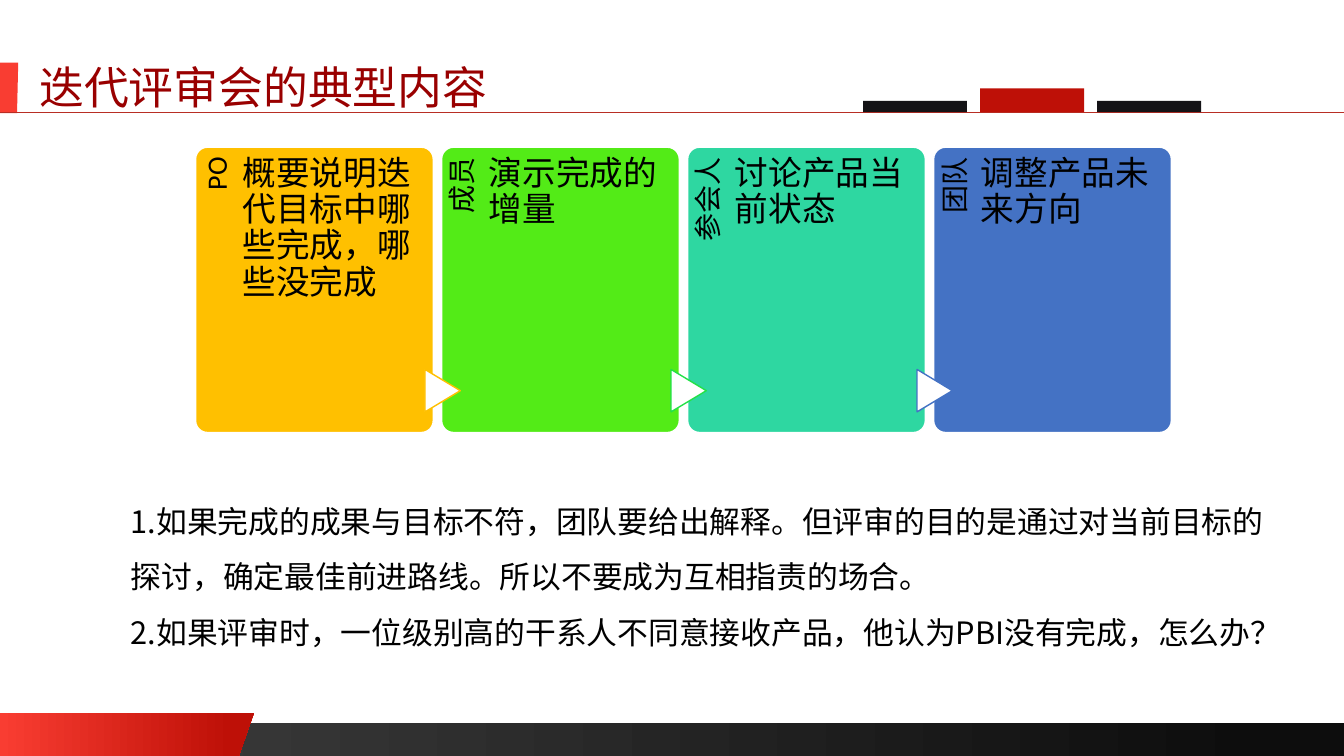
"""Build the slide on the typical content of an iteration review meeting."""
from lxml import etree
from pptx import Presentation
from pptx import util as u
from pptx.dml import color
from pptx.enum import shapes, text
from pptx.oxml import ns

CJK = "Noto Sans CJK SC"
SLIDE_W, SLIDE_H = 33.87, 19.05
CARDS = [
    ("PO", "概要说明迭代目标中哪些完成，哪些没完成", "FFC000", "FFC000"),
    ("成员", "演示完成的增量", "53EB17", "23E148"),
    ("参会人", "讨论产品当前状态", "2ED7A1", "4472C4"),
    ("团队", "调整产品未来方向", "4472C4", None),
]
NOTES = [
    "1.如果完成的成果与目标不符，团队要给出解释。但评审的目的是通过对当前目标的探讨，确定最佳前进路线。所以不要成为互相指责的场合。",
    "2.如果评审时，一位级别高的干系人不同意接收产品，他认为PBI没有完成，怎么办？",
]


def rgb(value):
    """Turn a hex string into a colour."""
    return color.RGBColor.from_string(value)


def paint(sp, fill, line=None):
    """Fill a shape with one colour, or a gradient given as (colour, position) stops."""
    sp.shadow.inherit = False
    if isinstance(fill, str):
        sp.fill.solid()
        sp.fill.fore_color.rgb = rgb(fill)
    else:
        sp.fill.gradient()
        sp.fill.gradient_angle = 0
        for stop, (value, position) in zip(sp.fill.gradient_stops, fill):
            stop.color.rgb = rgb(value)
            stop.position = position
    if line:
        sp.line.color.rgb = rgb(line)
        sp.line.width = u.Pt(1)
    else:
        sp.line.fill.background()


def add_block(s, kind, box, fill, line=None):
    """Add a preset shape in a box given in centimetres."""
    sp = s.shapes.add_shape(kind, *map(u.Cm, box))
    paint(sp, fill, line)
    return sp


def add_outline(s, points, fill):
    """Add a closed polygon through points given in centimetres."""
    points = [(u.Cm(x), u.Cm(y)) for x, y in points]
    builder = s.shapes.build_freeform(*points[0])
    builder.add_line_segments(points[1:], close=True)
    paint(builder.convert_to_shape(), fill)


def add_text(s, box, lines, size, spacing, font=CJK, value="000000", insets=(0.25, 0.13, 0.25, 0.13)):
    """Add a wrapped text box with one paragraph per line."""
    sp = s.shapes.add_textbox(*map(u.Cm, box))
    tf = sp.text_frame
    tf.word_wrap = True
    tf.margin_left, tf.margin_top, tf.margin_right, tf.margin_bottom = map(u.Cm, insets)
    tf.text = "\n".join(lines)
    for p in tf.paragraphs:
        p.line_spacing = spacing
        for r in p.runs:
            r.font.name = font
            r.font.size = u.Pt(size)
            r.font.color.rgb = rgb(value)
            ea = etree.SubElement(r.font._element, ns.qn("a:ea"))
            ea.set("typeface", CJK)
    return sp


def add_footer(s, left, top, width, height):
    """Draw the dark footer band with its red tab."""
    add_block(s, shapes.MSO_SHAPE.RECTANGLE, (left, top + 0.25, width, height - 0.25),
              [("404040", 0), ("0D0D0D", 0.94)])
    bottom = top + height
    add_outline(s, [(left, top), (left + 6.4, top), (left + 6.02, bottom), (left, bottom)],
                [("F93D32", 0), ("BE1007", 0.91)])


def add_header(s, left, top, width, height):
    """Draw the title, its red marker, the rule and the three tabs on it."""
    base = top + height
    add_outline(s, [(left, base - 1.25), (left + 0.46, base - 1.25), (left + 0.43, base + 0.02),
                    (left, base + 0.02)], "F93D32")
    title = add_text(s, (left + 0.74, top, 15.82, 1.8), ["迭代评审会的典型内容"], 32, 1.1, value="990000")
    title.text_frame.vertical_anchor = text.MSO_ANCHOR.MIDDLE
    rule = s.shapes.add_connector(shapes.MSO_CONNECTOR.STRAIGHT, u.Cm(left), u.Cm(base),
                                  u.Cm(left + width), u.Cm(base))
    rule.line.color.rgb = rgb("B82E24")
    rule.line.width = u.Pt(0.5)
    etree.SubElement(rule._element.spPr, ns.qn("a:effectLst"))
    for i, (tall, fill) in enumerate([(0.29, "141316"), (0.6, "BE1007"), (0.29, "141316")]):
        add_block(s, shapes.MSO_SHAPE.RECTANGLE,
                  (left + 21.75 + i * 2.95, base - tall, 2.62, tall), fill)


def add_card(s, left, top, width, height, card, arrow_line):
    """Draw one card with its role, its text and the arrow that leads into it."""
    role, content, fill, _ = card
    sp = add_block(s, shapes.MSO_SHAPE.ROUNDED_RECTANGLE, (left, top, width, height), fill, "FFFFFF")
    sp.adjustments[0] = 0.05
    long, thick = 5.89, 1.19
    label = add_text(s, (left + (thick - long) / 2, top + (long - thick) / 2, long, thick),
                     [role], 20, 0.9, "Calibri", insets=(0, 0.18, 0.25, 0))
    label.rotation = 270
    label.text_frame.paragraphs[0].alignment = text.PP_ALIGN.RIGHT
    if arrow_line:
        arrow = add_block(s, shapes.MSO_SHAPE.FLOWCHART_EXTRACT,
                          (left - 0.51, top + 5.69, 1.07, 0.89), "FFFFFF", arrow_line)
        arrow.rotation = 90
    add_text(s, (left + thick, top, 4.47, height), [content], 24, 0.9, insets=(0, 0.23, 0, 0))


def add_process(s, left, top, width, height):
    """Lay the cards out in a row with equal gaps."""
    gap = 0.21
    card_w = (width - gap * (len(CARDS) - 1)) / len(CARDS)
    arrow_lines = [None, "FFC000", "23E148", "4472C4"]
    for i, (card, arrow_line) in enumerate(zip(CARDS, arrow_lines)):
        add_card(s, left + i * (card_w + gap), top, card_w, height, card, arrow_line)


def main():
    """Build the slide and save it."""
    prs = Presentation()
    prs.slide_width, prs.slide_height = u.Cm(SLIDE_W), u.Cm(SLIDE_H)
    s = prs.slides.add_slide(prs.slide_layouts[6])
    add_footer(s, 0, 17.96, SLIDE_W, 1.09)
    add_header(s, 0, 1.22, SLIDE_W, 1.61)
    add_process(s, 4.93, 3.71, 24.59, 7.19)
    add_text(s, (3.05, 12.07, 29.26, 4.5), NOTES, 22, 1.5)
    prs.save("out.pptx")


if __name__ == "__main__":
    main()
